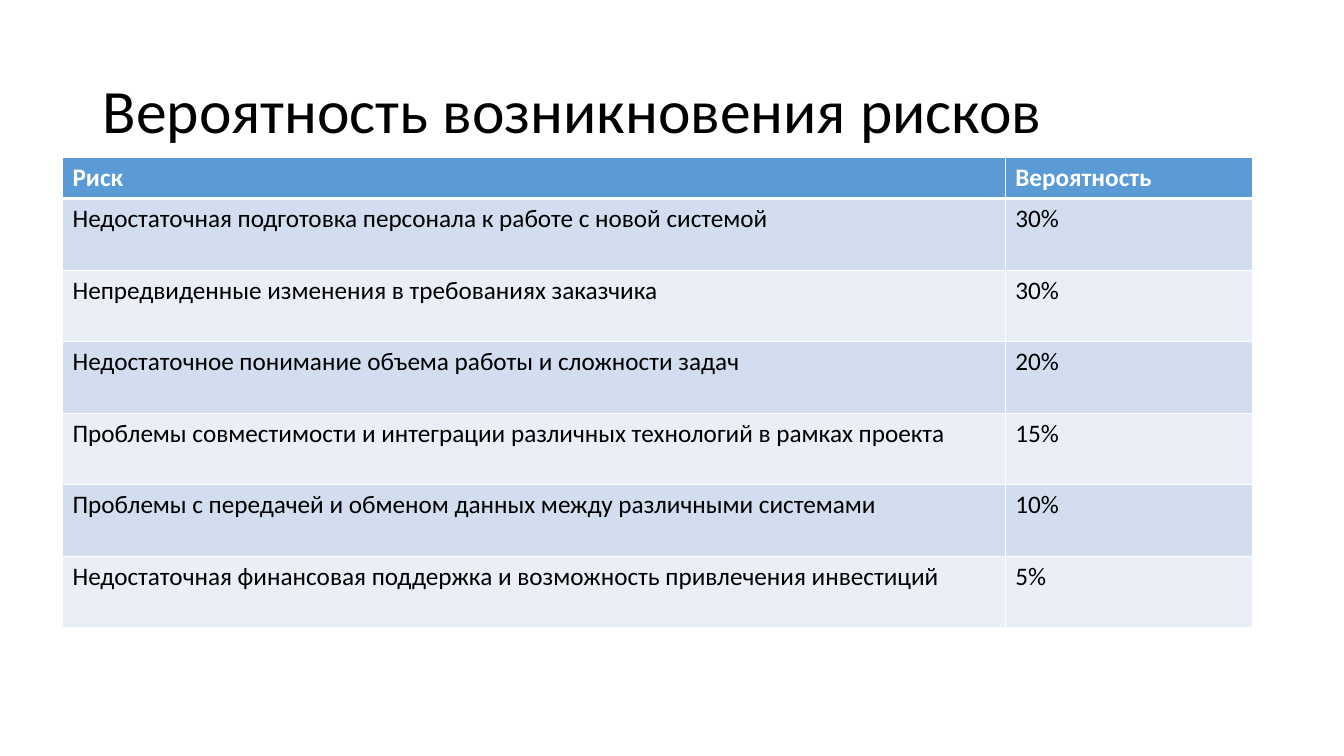
from dataclasses import dataclass
from typing import Any

from lxml import etree
from pptx import Presentation
from pptx import util as u
from pptx.dml.color import RGBColor
from pptx.enum import text
from pptx.oxml import ns


@dataclass(frozen=True)
class Theme:
    font: str = "Calibri"
    title_size: int = 44
    table_size: int = 18
    black: str = "000000"
    white: str = "FFFFFF"
    header: str = "5B9BD5"
    bands: tuple[str, str] = ("D2DEEF", "EAEFF7")
    thin: int = 1
    thick: int = 3


@dataclass(frozen=True)
class Risk:
    name: str
    probability: str


THEME = Theme()
TITLE = "Вероятность возникновения рисков"
HEADER = Risk("Риск", "Вероятность")
RISKS = [
    Risk("Недостаточная подготовка персонала к работе с новой системой", "30%"),
    Risk("Непредвиденные изменения в требованиях заказчика", "30%"),
    Risk("Недостаточное понимание объема работы и сложности задач", "20%"),
    Risk("Проблемы совместимости и интеграции различных технологий в рамках проекта", "15%"),
    Risk("Проблемы с передачей и обменом данных между различными системами", "10%"),
    Risk("Недостаточная финансовая поддержка и возможность привлечения инвестиций", "5%"),
]
COLUMN_WIDTHS = (9.35, 2.45)
HEADER_HEIGHT = 0.41
RISK_HEIGHT = 0.71


def add_span(para: Any, words: str, size: int, color: str, bold: bool = False) -> None:
    span = para.add_run()
    span.text = words
    span.font.name = THEME.font
    span.font.size = u.Pt(size)
    span.font.bold = bold
    span.font.color.rgb = RGBColor.from_string(color)


def add_border(cell: Any, side: str, width: int) -> None:
    properties = cell._tc.get_or_add_tcPr()
    line = etree.SubElement(properties, ns.qn(f"a:ln{side}"), w=str(u.Pt(width)))
    fill = etree.SubElement(line, ns.qn("a:solidFill"))
    etree.SubElement(fill, ns.qn("a:srgbClr"), val=THEME.white)


def draw_title(page: Any) -> None:
    box = page.shapes.add_textbox(u.Inches(0.92), u.Inches(0.4), u.Inches(11.5), u.Inches(1.45))
    frame = box.text_frame
    frame.word_wrap = True
    frame.vertical_anchor = text.MSO_ANCHOR.MIDDLE
    para = frame.paragraphs[0]
    para.line_spacing = 0.9
    add_span(para, TITLE, THEME.title_size, THEME.black)


def draw_cell(cell: Any, words: str, row: int) -> None:
    is_header = row == 0
    widths = {
        "L": THEME.thin,
        "R": THEME.thin,
        "T": THEME.thick if row == 1 else THEME.thin,
        "B": THEME.thick if is_header else THEME.thin,
    }
    for side, width in widths.items():
        add_border(cell, side, width)
    background = THEME.header if is_header else THEME.bands[(row - 1) % 2]
    cell.fill.solid()
    cell.fill.fore_color.rgb = RGBColor.from_string(background)
    color = THEME.white if is_header else THEME.black
    add_span(cell.text_frame.paragraphs[0], words, THEME.table_size, color, is_header)


def draw_table(page: Any) -> None:
    records = [HEADER, *RISKS]
    height = HEADER_HEIGHT + RISK_HEIGHT * len(RISKS)
    table = page.shapes.add_table(
        len(records), len(COLUMN_WIDTHS),
        u.Inches(0.62), u.Inches(1.56), u.Inches(sum(COLUMN_WIDTHS)), u.Inches(height),
    ).table
    table.horz_banding = False
    for column, width in zip(table.columns, COLUMN_WIDTHS):
        column.width = u.Inches(width)
    for row, record in enumerate(records):
        table.rows[row].height = u.Inches(RISK_HEIGHT if row else HEADER_HEIGHT)
        for column, words in enumerate((record.name, record.probability)):
            draw_cell(table.cell(row, column), words, row)


def main() -> None:
    deck = Presentation()
    deck.slide_width = u.Inches(13.33)
    deck.slide_height = u.Inches(7.5)
    page = deck.slides.add_slide(deck.slide_layouts[6])
    draw_title(page)
    draw_table(page)
    deck.save("out.pptx")


if __name__ == "__main__":
    main()
